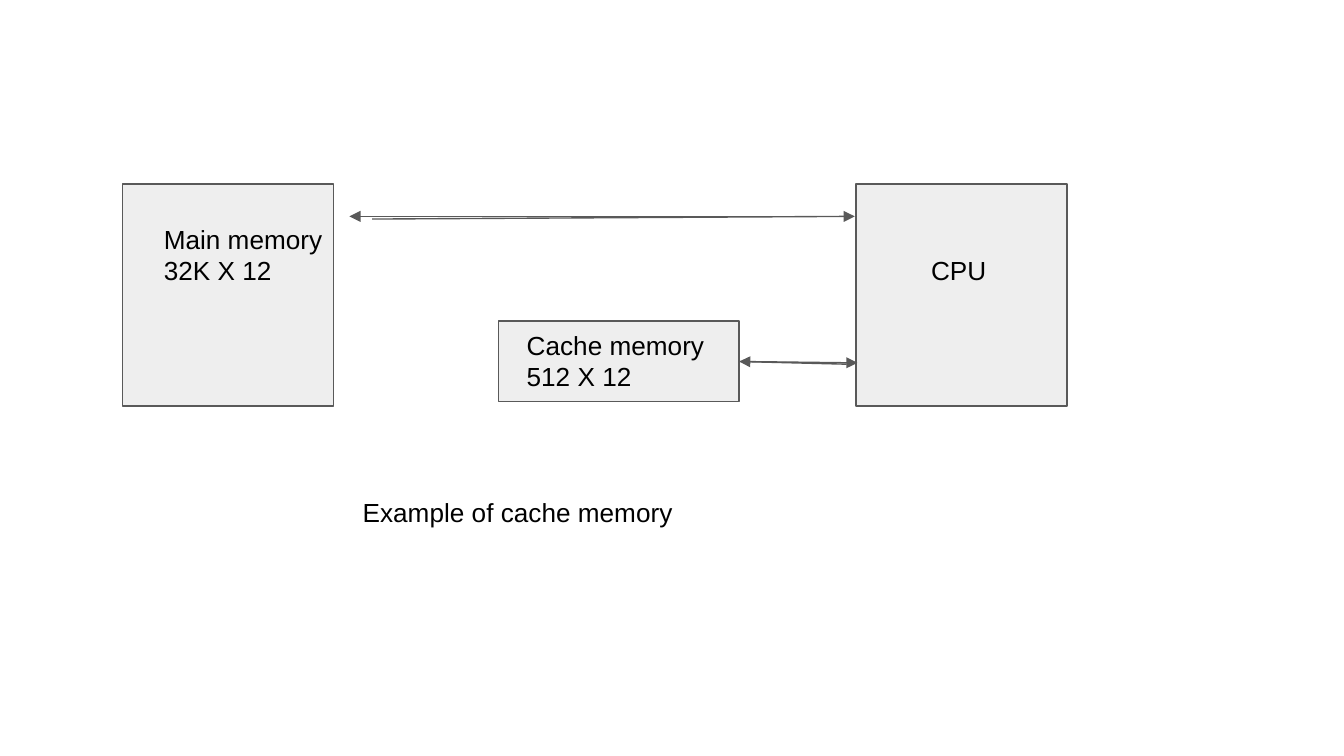
from lxml import etree
from pptx import Presentation
from pptx.dml.color import RGBColor
from pptx.enum.shapes import MSO_CONNECTOR, MSO_SHAPE
from pptx.enum.text import MSO_AUTO_SIZE
from pptx.oxml.ns import qn
from pptx.util import Inches, Pt

RECT = MSO_SHAPE.RECTANGLE
STRAIGHT = MSO_CONNECTOR.STRAIGHT
GROW = MSO_AUTO_SIZE.SHAPE_TO_FIT_TEXT

FONT, SIZE = "Arial", 14
INK, LINE, FILL = "000000", "595959", "EEEEEE"

# Main memory and CPU share one top and one size
TOP, UNIT_W, UNIT_H = 1.37, 1.57, 1.65
MAIN_X, CPU_X = 0.91, 6.37
CACHE_X, CACHE_W = 3.71, 1.79
CACHE_RIGHT = CACHE_X + CACHE_W

# left, top, width, height
boxes = [
    (CPU_X, TOP, UNIT_W, UNIT_H),
    (CACHE_X, 2.39, CACHE_W, 0.6),
    (MAIN_X, TOP, UNIT_W, UNIT_H),
]
# text, left, top, width
labels = [
    ("Main memory\n32K X 12", 1.12, 1.56, 1.69),
    ("Cache memory\n512 X 12", 3.82, 2.35, 1.68),
    ("CPU", 6.83, 1.79, 1.9),
    ("Example of cache memory", 2.6, 3.59, 3.24),
]
# start x, start y, end x, end y; the head is at the end
arrows = [
    (2.77, 1.63, 6.36, 1.61),
    (6.11, 1.61, 2.6, 1.61),
    (CACHE_RIGHT, 2.69, 6.38, 2.7),
    (6.3, 2.71, CACHE_RIGHT, 2.69),
]


def color(value):
    return RGBColor.from_string(value)


def set_line(shape):
    shape.line.color.rgb = color(LINE)
    shape.line.width = Pt(0.75)


# 16:9 slide
prs = Presentation()
prs.slide_width = Inches(10)
prs.slide_height = prs.slide_width * 9 // 16
s = prs.slides.add_slide(prs.slide_layouts[6])

# Units
for box in boxes:
    sp = s.shapes.add_shape(RECT, *map(Inches, box))
    sp.shadow.inherit = False
    sp.fill.solid()
    sp.fill.fore_color.rgb = color(FILL)
    set_line(sp)

# Labels and caption
for text, x, y, w in labels:
    h = 0.21 + 0.23 * len(text.split("\n"))
    tf = s.shapes.add_textbox(*map(Inches, (x, y, w, h))).text_frame
    tf.word_wrap = True
    tf.auto_size = GROW
    tf.margin_left = tf.margin_right = tf.margin_top = tf.margin_bottom = Inches(0.1)
    tf.text = text
    for p in tf.paragraphs:
        for r in p.runs:
            r.font.name, r.font.size = FONT, Pt(SIZE)
            r.font.color.rgb = color(INK)

# Data paths
for ends in arrows:
    cn = s.shapes.add_connector(STRAIGHT, *map(Inches, ends))
    set_line(cn)
    ln = cn._element.spPr.find(qn("a:ln"))
    etree.SubElement(ln, qn("a:tailEnd"), type="triangle")
    etree.SubElement(cn._element.spPr, qn("a:effectLst"))

prs.save("out.pptx")
